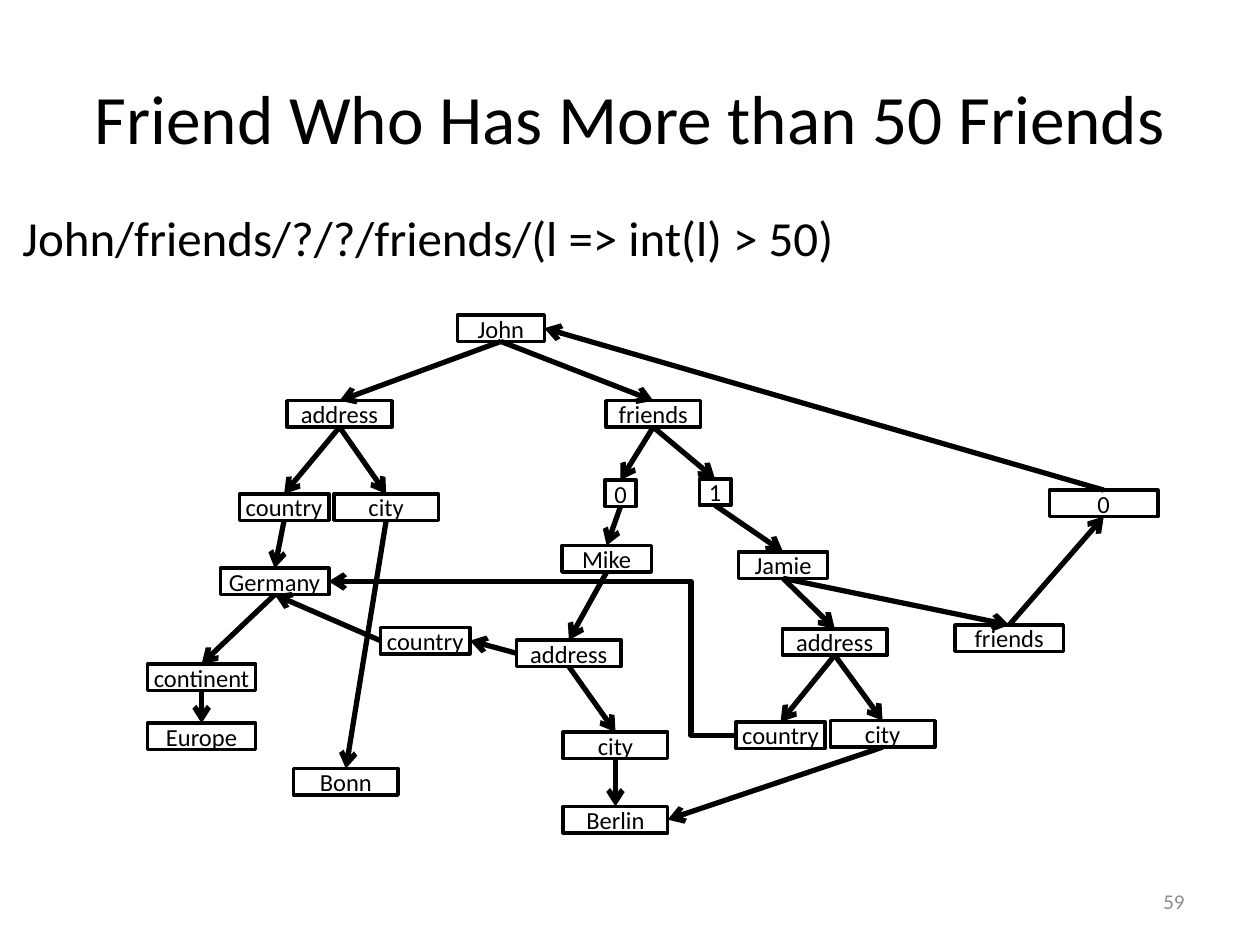
from lxml import etree
from pptx import Presentation
from pptx.dml.color import RGBColor
from pptx.enum.shapes import MSO_CONNECTOR as CONN, MSO_SHAPE as SHAPE
from pptx.enum.text import MSO_ANCHOR as ANCHOR, MSO_AUTO_SIZE as AUTO, PP_ALIGN as ALIGN
from pptx.oxml.ns import qn
from pptx.util import Inches, Pt

COLORS = {"ink": "000000", "muted": "8C8C8C"}
NODE_H = 0.21
TOP, LEFT, BOTTOM, RIGHT = range(4)

# key: (label, left, top, width)
NODES = {
    "john": ("John", 3.63, 2.5, 0.69),
    "john_address": ("address", 2.28, 3.18, 0.83),
    "john_friends": ("friends", 4.81, 3.18, 0.75),
    "john_country": ("country", 1.9, 3.92, 0.71),
    "john_city": ("city", 2.65, 3.92, 0.83),
    "friend_0": ("0", 4.8, 3.81, 0.25),
    "friend_1": ("1", 5.55, 3.8, 0.25),
    "germany": ("Germany", 1.75, 4.51, 0.86),
    "continent": ("continent", 1.17, 5.27, 0.86),
    "europe": ("Europe", 1.17, 5.74, 0.86),
    "bonn": ("Bonn", 2.33, 6.1, 0.83),
    "mike": ("Mike", 4.46, 4.33, 0.71),
    "mike_address": ("address", 4.1, 5.08, 0.83),
    "mike_country": ("country", 3.02, 4.98, 0.71),
    "mike_city": ("city", 4.47, 5.81, 0.83),
    "berlin": ("Berlin", 4.47, 6.4, 0.83),
    "jamie": ("Jamie", 5.86, 4.38, 0.71),
    "jamie_address": ("address", 6.21, 4.99, 0.83),
    "jamie_country": ("country", 5.84, 5.73, 0.71),
    "jamie_city": ("city", 6.59, 5.72, 0.83),
    "jamie_friends": ("friends", 7.58, 4.96, 0.86),
    "jamie_friend_0": ("0", 8.33, 3.89, 0.86),
}

# Edges from the bottom of a parent to the top of each child
TREE = {
    "john": ["john_address", "john_friends"],
    "john_address": ["john_country", "john_city"],
    "john_friends": ["friend_0", "friend_1"],
    "john_country": ["germany"],
    "john_city": ["bonn"],
    "germany": ["continent"],
    "continent": ["europe"],
    "friend_0": ["mike"],
    "friend_1": ["jamie"],
    "mike": ["mike_address"],
    "mike_address": ["mike_city"],
    "mike_city": ["berlin"],
    "jamie": ["jamie_address", "jamie_friends"],
    "jamie_address": ["jamie_country", "jamie_city"],
}

# Edges that leave or arrive at another side
CROSS_LINKS = [
    ("mike_address", LEFT, "mike_country", RIGHT),
    ("mike_country", LEFT, "germany", BOTTOM),
    ("jamie_city", BOTTOM, "berlin", RIGHT),
    ("jamie_friends", TOP, "jamie_friend_0", BOTTOM),
    ("jamie_friend_0", TOP, "john", RIGHT),
]


class Deck:
    """Holds the style and the slide being drawn."""

    font = "Calibri"

    def __init__(self, prs):
        self.s = prs.slides.add_slide(prs.slide_layouts[5])

    def fill_text(self, sp, text, size, color="ink", align=ALIGN.LEFT, **frame):
        tf = sp.text_frame
        for name, value in frame.items():
            setattr(tf, name, value)
        p = tf.paragraphs[0]
        p.alignment = align
        r = p.add_run()
        r.text = text
        for name, value in {"name": self.font, "size": Pt(size)}.items():
            setattr(r.font, name, value)
        r.font.color.rgb = RGBColor.from_string(COLORS[color])

    def title(self, text, box):
        sp = self.s.shapes.title
        sp.left, sp.top, sp.width, sp.height = map(Inches, box)
        self.fill_text(sp, text, 39.6, align=ALIGN.CENTER, vertical_anchor=ANCHOR.MIDDLE)

    def text(self, text, box, size, **style):
        sp = self.s.shapes.add_textbox(*map(Inches, box))
        self.fill_text(sp, text, size, **style)

    def node(self, label, left, top, width):
        box = map(Inches, (left, top, width, NODE_H))
        sp = self.s.shapes.add_shape(SHAPE.RECTANGLE, *box)
        sp.shadow.inherit = False
        sp.fill.background()
        self.outline(sp, 2)
        self.fill_text(sp, label, 14, align=ALIGN.CENTER,
                       vertical_anchor=ANCHOR.MIDDLE, word_wrap=False)
        return sp

    def outline(self, sp, width):
        sp.line.color.rgb = RGBColor.from_string(COLORS["ink"])
        sp.line.width = Pt(width)

    def arrow(self, start, start_side, end, end_side, bend=None):
        """Joins two nodes; bend is the share of the width before an elbow."""
        kind = CONN.STRAIGHT if bend is None else CONN.ELBOW
        c = self.s.shapes.add_connector(kind, 0, 0, 0, 0)
        c.begin_connect(start, start_side)
        c.end_connect(end, end_side)
        self.outline(c, 3)
        spPr = c._element.spPr
        etree.SubElement(spPr.find(qn("a:ln")), qn("a:tailEnd"), type="arrow")
        etree.SubElement(spPr, qn("a:effectLst"))
        if bend is not None:
            guides = spPr.find(qn("a:prstGeom")).find(qn("a:avLst"))
            etree.SubElement(guides, qn("a:gd"), name="adj1",
                             fmla=f"val {round(bend * 100000)}")


def main():
    prs = Presentation()
    prs.slide_width, prs.slide_height = Inches(10), Inches(7.5)
    deck = Deck(prs)
    deck.title("Friend Who Has More than 50 Friends", (0.5, 0.3, 9, 1.25))
    deck.text("59", (7.17, 6.95, 2.33, 0.4), 12, color="muted",
              align=ALIGN.RIGHT, vertical_anchor=ANCHOR.MIDDLE, word_wrap=True)
    deck.text("John/friends/?/?/friends/(l => int(l) > 50)", (0.08, 1.6, 6.72, 0.57), 28,
              word_wrap=False, auto_size=AUTO.SHAPE_TO_FIT_TEXT)

    nodes = {key: deck.node(*node) for key, node in NODES.items()}
    for parent, children in TREE.items():
        for child in children:
            deck.arrow(nodes[parent], BOTTOM, nodes[child], TOP)
    for start, start_side, end, end_side in CROSS_LINKS:
        deck.arrow(nodes[start], start_side, nodes[end], end_side)
    deck.arrow(nodes["jamie_country"], LEFT, nodes["germany"], RIGHT, bend=0.11)

    prs.save("out.pptx")


if __name__ == "__main__":
    main()
